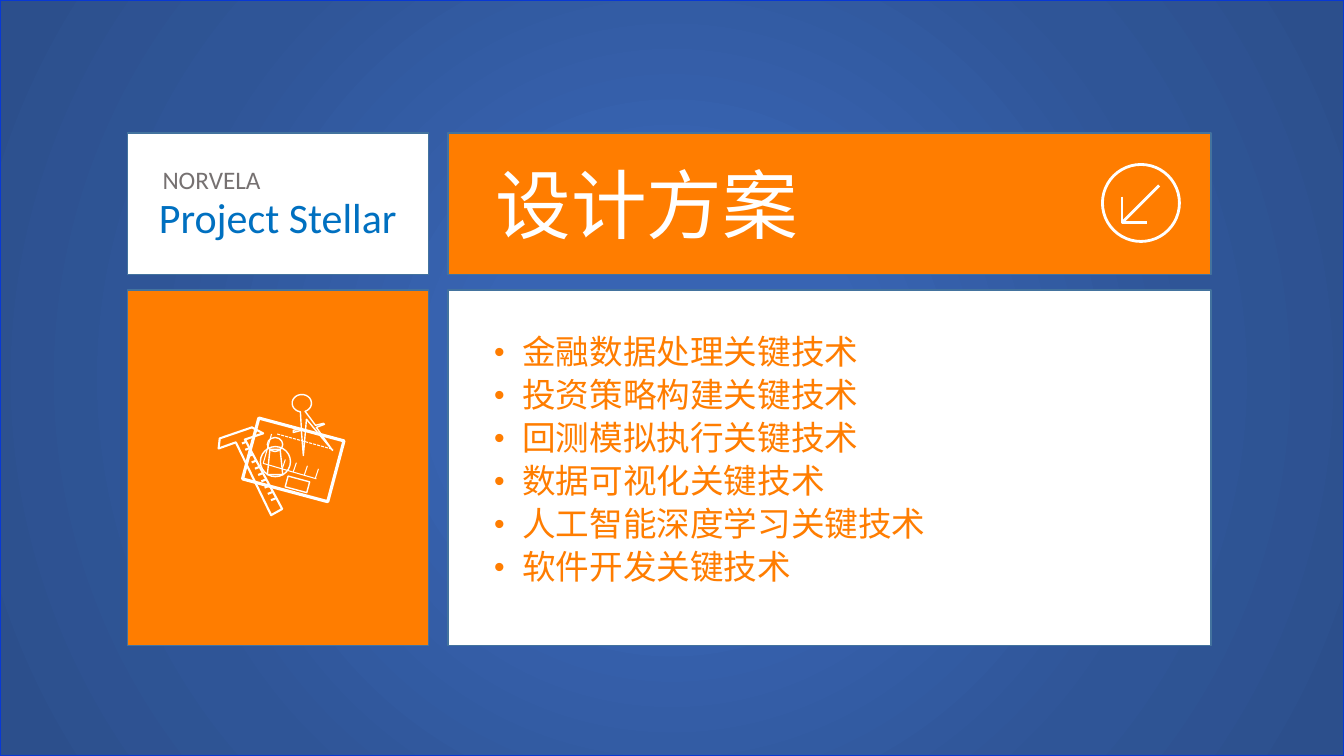
from math import cos, radians, sin

from pptx import Presentation, util as u
from pptx.dml.color import RGBColor
from pptx.enum import dml, shapes, text
from pptx.oxml import parse_xml
from pptx.oxml.ns import nsdecls, qn

Pt = u.Pt
ORANGE, WHITE, EDGE = "FF7D00", "FFFFFF", "43739E"
BACKDROP_STOPS = [(0, "3864B3"), (23, "3864B3"), (69, "2F5597"), (97, "2C4F8C")]

TITLE = "设计方案"
TEAM = "NORVELA"
PROJECT = "Project Stellar"
TOPICS = [
    "金融数据处理关键技术",
    "投资策略构建关键技术",
    "回测模拟执行关键技术",
    "数据可视化关键技术",
    "人工智能深度学习关键技术",
    "软件开发关键技术",
]

COLUMNS = [(91, 215), (320, 545)]  # left, width
ROWS = [(95, 101), (207, 254)]  # top, height
PANEL_FILLS = [[WHITE, ORANGE], [ORANGE, WHITE]]

ARROW_CENTER, ARROW_RADIUS = (815, 145), 27.5
ARROW_STROKES = [
    [(828, 132.5), (801.5, 159)],
    [(801.5, 140.5), (801.5, 159), (819.5, 159)],
]

# Drafting icon: preset, left, top, width, height, rotation, line width
DRAFT_SHAPES = [
    ("OVAL", 191, 312.5, 11, 10, 0, 1),
    ("TRAPEZOID", 191, 321, 11, 18, 0, 1),
    ("RECTANGLE", 178, 306, 63, 45, 15, 2.25),
    ("OVAL", 186, 319, 21.5, 21.5, 0, 1),
    ("RECTANGLE", 204.5, 342, 16, 8, 15, 1),
]
AXES = [((188, 331), (226, 342)), ((194, 310), (188, 331))]
DASHED_LINE = ((198, 310), (238, 321))
# Ticks: count, first start, stroke, step, line width
TICK_ROWS = [
    (4, (201.6, 334.8), (2.2, -6.5), (7.9, 2.2), 0.75),
    (10, (176.4, 315.4), (-3.5, 1.4), (2.3, 4.5), 1.5),
]
RULER = [(168.5, 316), (193.7, 368), (201.6, 363.6), (175, 314),
         (188, 309.6), (180, 305.3), (157, 313.2), (156.2, 320.4)]
COMPASS_LEGS = [(214.6, 294.5), (215.3, 306), (209.5, 307.4), (209.5, 308.9),
                (215.3, 307.4), (216.7, 325.4), (218.9, 299.5), (237.6, 321.8),
                (226, 305.3), (231.8, 303.1), (231.1, 302.4), (225.4, 303.8)]
COMPASS_HEAD = [(215.6 + 6.9 * cos(radians(a)), 288 + 6.2 * sin(radians(a)))
                for a in range(70, -261, -15)]


def color(hex_code):
    """Turn a hex string into a colour."""
    return RGBColor.from_string(hex_code)


def style(shape, fill, line, width):
    """Set fill and outline, and remove the shadow."""
    shape.shadow.inherit = False
    if fill:
        shape.fill.solid()
        shape.fill.fore_color.rgb = color(fill)
    else:
        shape.fill.background()
    shape.line.color.rgb = color(line)
    shape.line.width = Pt(width)
    return shape


def add_preset(parent, preset, frame, fill=None, line=WHITE, width=1):
    """Add a preset shape in a frame of left, top, width, height."""
    kind = shapes.MSO_SHAPE[preset]
    shape = parent.add_shape(kind, *(Pt(v) for v in frame))
    return style(shape, fill, line, width)


def add_outline(parent, points, width, close=True):
    """Add an unfilled white freeform through the points."""
    corners = [(Pt(x), Pt(y)) for x, y in points]
    builder = parent.build_freeform(*corners[0], scale=1)
    builder.add_line_segments(corners[1:], close=close)
    return style(builder.convert_to_shape(), None, WHITE, width)


def add_line(parent, start, end, width=0.75):
    """Add a straight white line."""
    line = parent.add_connector(
        shapes.MSO_CONNECTOR.STRAIGHT, *(Pt(v) for v in (*start, *end)))
    line.line.color.rgb = color(WHITE)
    line.line.width = Pt(width)
    line._element.spPr.append(parse_xml(f"<a:effectLst {nsdecls('a')}/>"))
    return line


def add_text(parent, lines, frame, font, size, hex_code):
    """Add a text box with one paragraph per line."""
    box = parent.add_textbox(*(Pt(v) for v in frame))
    body = box.text_frame
    body.word_wrap = True
    body.auto_size = text.MSO_AUTO_SIZE.SHAPE_TO_FIT_TEXT
    body.text = "\n".join(lines)
    for para in body.paragraphs:
        for span in para.runs:
            span.font.name = font
            span.font.size = Pt(size)
            span.font.color.rgb = color(hex_code)
    return body


def add_bullets(body):
    """Give each paragraph a hanging bullet and tight spacing."""
    for para in body.paragraphs:
        para.line_spacing = 0.9
        para.space_before = Pt(4.8)
        props = para._p.get_or_add_pPr()
        props.set("marL", str(Pt(20)))
        props.set("indent", str(Pt(-20)))
        for tag in ('buSzPct val="90000"', 'buFont typeface="Arial"', 'buChar char="•"'):
            props.append(parse_xml(f"<a:{tag} {nsdecls('a')}/>"))


def add_backdrop(parent, frame):
    """Cover the slide with a circular gradient."""
    backdrop = add_preset(parent, "RECTANGLE", frame, WHITE, "0838D5")
    stops = "".join(f'<a:gs pos="{pos * 1000}"><a:srgbClr val="{code}"/></a:gs>'
                    for pos, code in BACKDROP_STOPS)
    gradient = parse_xml(
        f'<a:gradFill {nsdecls("a")} rotWithShape="1"><a:gsLst>{stops}</a:gsLst>'
        '<a:path path="circle"><a:fillToRect l="50000" t="50000" r="50000" b="50000"/>'
        '</a:path></a:gradFill>')
    props = backdrop._element.spPr
    props.replace(props.find(qn("a:solidFill")), gradient)


def add_arrow_badge(parent):
    """Draw the ringed arrow beside the title."""
    x, y = ARROW_CENTER
    side = 2 * ARROW_RADIUS
    add_preset(parent, "OVAL", (x - ARROW_RADIUS, y - ARROW_RADIUS, side, side), width=2)
    for stroke in ARROW_STROKES:
        add_outline(parent, stroke, 2, close=False)


def add_drafting_icon(parent):
    """Draw the drawing board, compass and ruler as one group."""
    icon = parent.add_group_shape().shapes
    for preset, *frame, rotation, width in DRAFT_SHAPES:
        shape = add_preset(icon, preset, frame, width=width)
        shape.rotation = rotation
        if preset == "TRAPEZOID":
            shape.adjustments[0] = 0.168
    for start, end in AXES:
        add_line(icon, start, end)
    add_line(icon, *DASHED_LINE).line.dash_style = dml.MSO_LINE.SQUARE_DOT
    add_outline(icon, COMPASS_LEGS + COMPASS_HEAD, 1)
    add_outline(icon, RULER, 1.5)
    for count, (x, y), (dx, dy), (step_x, step_y), width in TICK_ROWS:
        for i in range(count):
            left, top = x + i * step_x, y + i * step_y
            add_line(icon, (left, top), (left + dx, top + dy), width)


deck = Presentation()
deck.slide_width, deck.slide_height = Pt(960), Pt(540)
page = deck.slides.add_slide(deck.slide_layouts[6]).shapes

add_backdrop(page, (0, 0, 960, 540))
for (top, height), fills in zip(ROWS, PANEL_FILLS):
    for (left, width), fill in zip(COLUMNS, fills):
        add_preset(page, "RECTANGLE", (left, top, width, height), fill, EDGE)

add_arrow_badge(page)
add_text(page, [TITLE], (347, 109, 335, 73), "Arial", 54, WHITE)
project = add_text(page, [PROJECT], (99, 133, 199, 44), "Calibri", 30, "0070C0")
project.paragraphs[0].alignment = text.PP_ALIGN.CENTER
add_text(page, [TEAM], (109, 114, 106, 29), "Calibri", 18, "767171")

topics = add_text(page, TOPICS, (348, 235, 531, 197), "Arial", 24, ORANGE)
topics.margin_left = topics.margin_right = Pt(5)
topics.margin_top = topics.margin_bottom = Pt(5)
add_bullets(topics)
add_drafting_icon(page)

deck.save("out.pptx")
